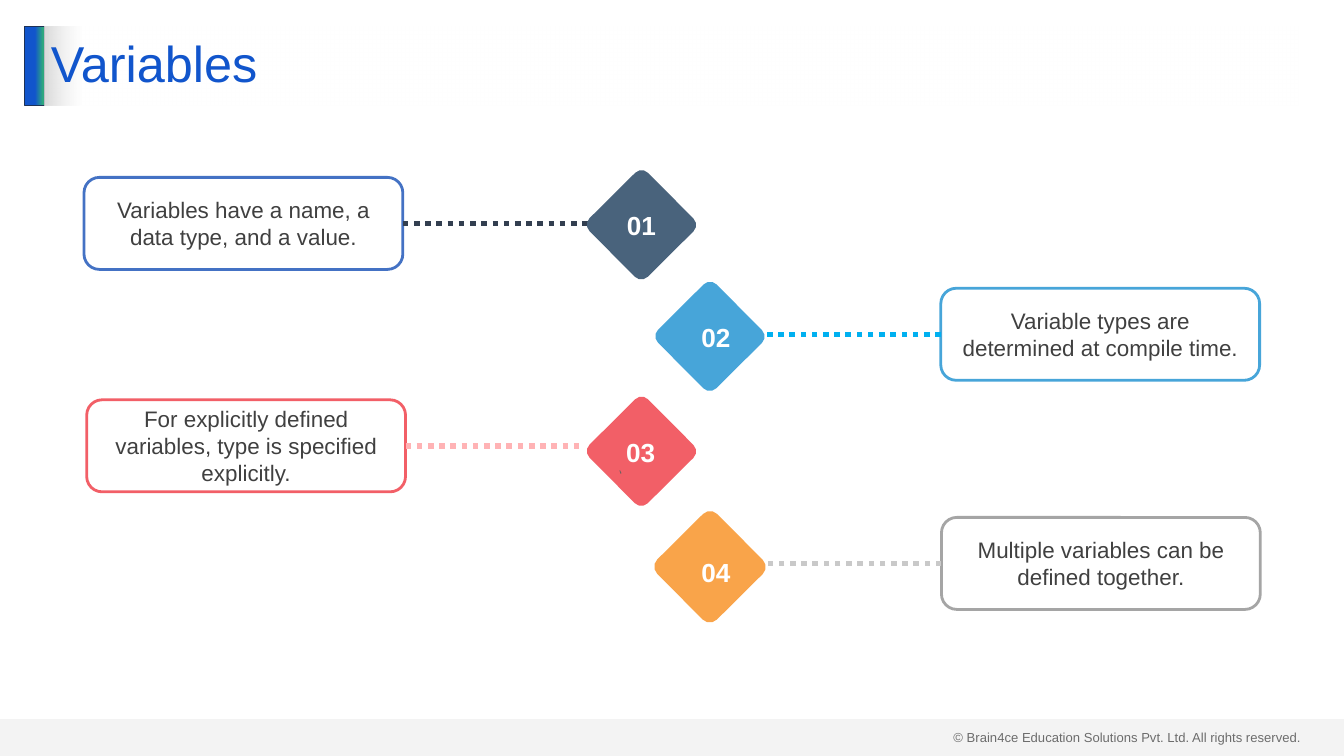
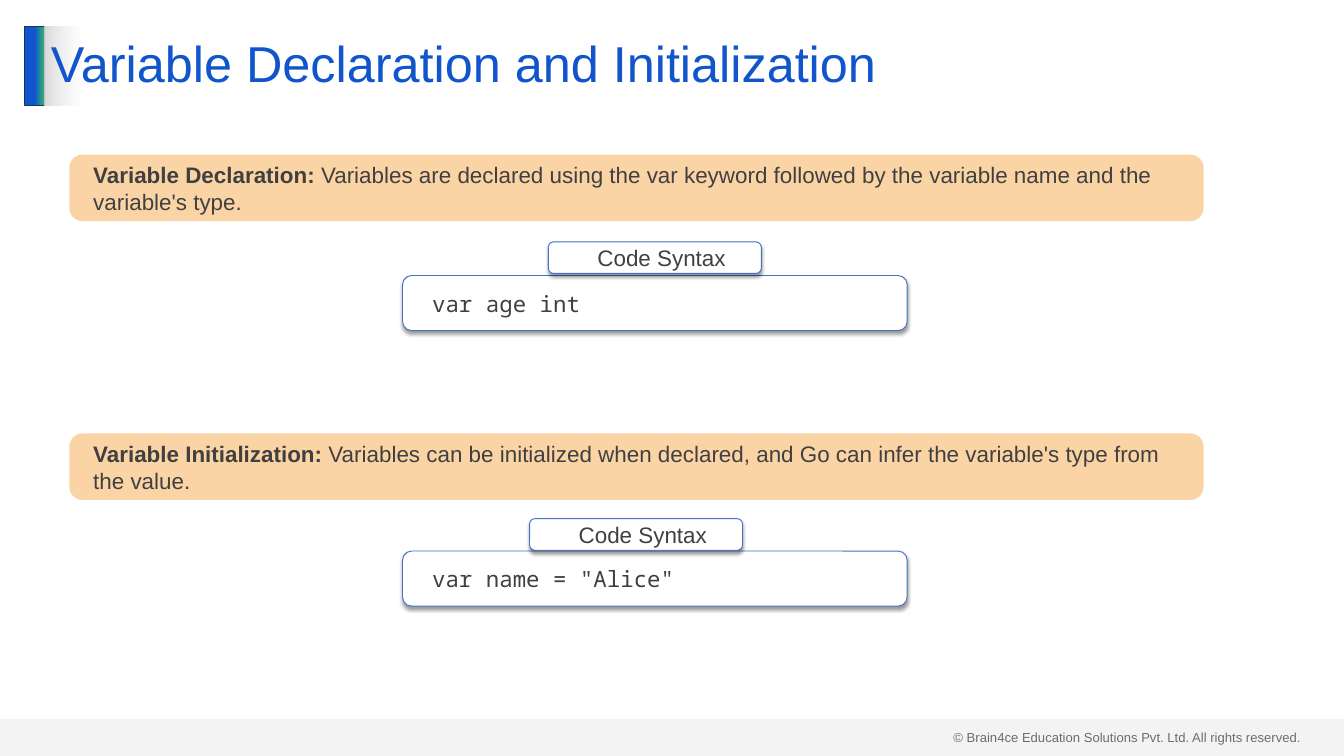
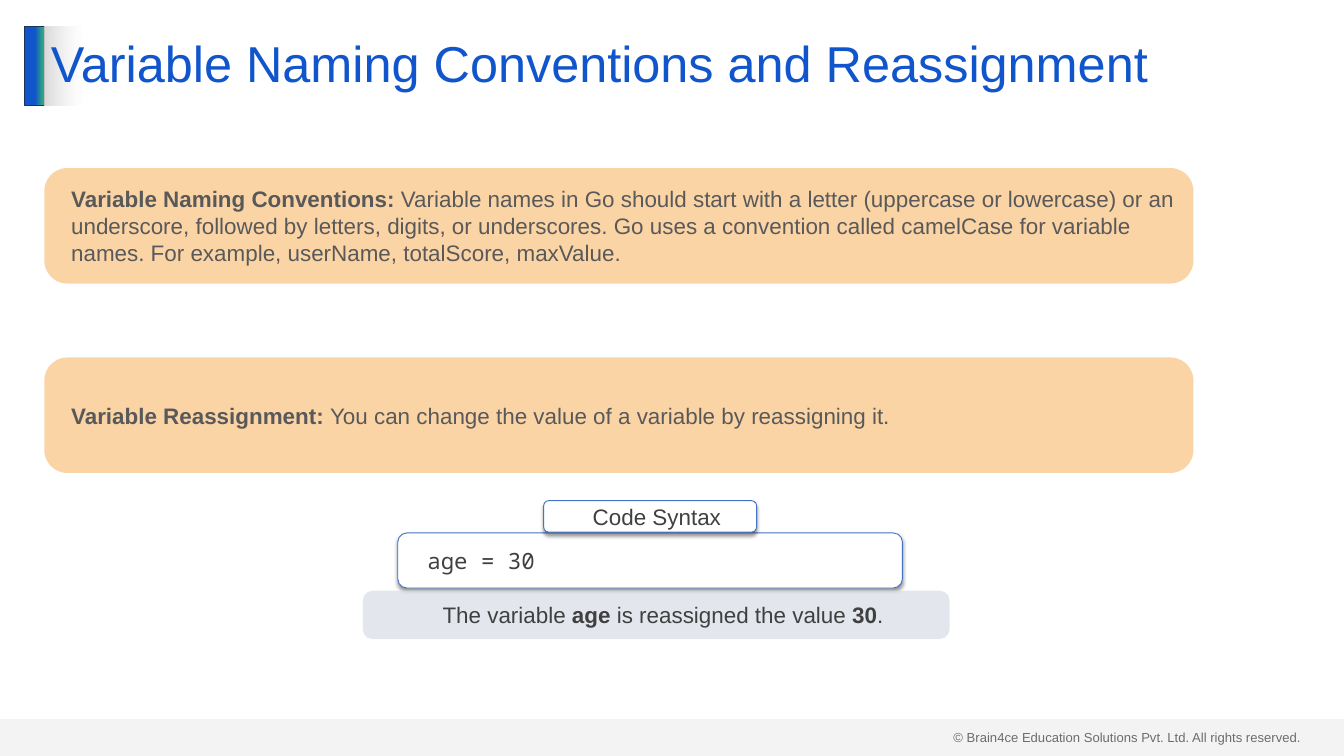
import dataclasses
import typing

import lxml.etree
import pptx
import pptx.dml.color
import pptx.enum.dml
import pptx.enum.shapes
import pptx.enum.text
import pptx.oxml.ns
import pptx.util

Pt = pptx.util.Pt
qn = pptx.oxml.ns.qn
Align = pptx.enum.text.PP_ALIGN
Anchor = pptx.enum.text.MSO_ANCHOR
Preset = pptx.enum.shapes.MSO_SHAPE


@dataclasses.dataclass(frozen=True)
class Theme:
    sans: str = "Arial"
    mono: str = "Noto Sans Mono"
    mark_font: str = "Cabin"
    title_size: float = 54
    number_size: float = 28
    body_size: float = 24
    mark_size: float = 18
    footer_size: float = 14
    title: str = "1155CC"
    accent: str = "2EA87D"
    accent_edge: str = "1E3256"
    grey: str = "D9D9D9"
    white: str = "FFFFFF"
    black: str = "000000"
    text: str = "404040"
    soft_text: str = "595959"
    mark: str = "5F5F5F"
    outline: str = "4472C4"
    note: str = "FABE79"
    remark: str = "D6DCE5"


THEME = Theme()


class Frame(typing.NamedTuple):
    left: float
    top: float
    width: float
    height: float


class Span(typing.NamedTuple):
    text: str
    bold: bool = False


class Stop(typing.NamedTuple):
    percent: int
    color: str
    opacity: int = 100


@dataclasses.dataclass(frozen=True)
class TextStyle:
    size: float = THEME.body_size
    color: str = THEME.text
    font: str = THEME.sans
    align: Align = Align.LEFT
    anchor: Anchor = Anchor.MIDDLE
    indent: float = 0
    inset_x: float = 7.2
    inset_y: float = 3.6
    line_spacing: typing.Optional[float] = None


@dataclasses.dataclass(frozen=True)
class ShapeStyle:
    fill: typing.Optional[str] = None
    opacity: int = 100
    line: typing.Optional[str] = None
    line_width: float = 1
    corner: typing.Optional[float] = None
    shadow: bool = False


@dataclasses.dataclass(frozen=True)
class Step:
    number: str
    text: str
    card: Frame
    diamond: tuple[float, float]
    label: tuple[float, float]
    dots_end: float
    fill: str
    outline: str
    dots: str
    edge: typing.Optional[str] = None
    mark: str = ""


@dataclasses.dataclass(frozen=True)
class Note:
    frame: Frame
    spans: tuple[Span, ...]
    color: str


@dataclasses.dataclass(frozen=True)
class CodeSample:
    code: str
    left: float
    top: float
    tab_left: float
    tab_top: float


CARD_SIZE = (341.6, 98.6)
DIAMOND_SIDE = 88.5
LABEL_SIZE = (56.9, 41)
CODE_SIZE = (540.7, 59)
TAB_SIZE = (228.2, 33.8)
COPYRIGHT = "© Brain4ce Education Solutions Pvt. Ltd. All rights reserved."

CENTRED = TextStyle(align=Align.CENTER)
PANEL = ShapeStyle(fill=THEME.white, line=THEME.outline, shadow=True)

STEPS = (
    Step("01", "Variables have a name, a data type, and a value.",
         Frame(90, 190.1, *CARD_SIZE), (643, 196.6), (664.6, 220.3), 633,
         "49637C", THEME.outline, "333F50"),
    Step("02", "Variable types are determined at compile time.",
         Frame(1008, 308.9, *CARD_SIZE), (716.4, 316.1), (744.5, 340.6), 814.3,
         "47A5D9", "47A5D9", "00B0F0"),
    Step("03", "For explicitly defined variables, type is specified explicitly.",
         Frame(92.9, 428.4, *CARD_SIZE), (643, 439.2), (663.8, 464.4), 625,
         "F25F67", "F25F67", "FFB3B5", mark="`"),
    Step("04", "Multiple variables can be defined together.",
         Frame(1008.7, 554.4, *CARD_SIZE), (716.4, 563), (744.5, 592.6), 814.3,
         "F9A44A", "A5A5A5", "C9C9C9", edge="F9A44A"),
)

DECLARATION_NOTES = (
    Note(Frame(74.2, 165.6, 1215.4, 71.3),
         (Span("Variable Declaration: ", True),
          Span("Variables are declared using the var keyword followed by the "
               "variable name and the variable's type.")), THEME.text),
    Note(Frame(74.2, 464.4, 1215.4, 71.3),
         (Span("Variable Initialization: ", True),
          Span("Variables can be initialized when declared, and Go can infer "
               "the variable's type from the value.")), THEME.text),
)
DECLARATION_CODE = (
    CodeSample("var age int", 431.3, 295.2, 587.5, 259.2),
    CodeSample('var name = "Alice"', 431.3, 590.4, 567.4, 555.8),
)

NAMING_NOTES = (
    Note(Frame(47.5, 180, 1231.2, 123.8),
         (Span("Variable Naming Conventions: ", True),
          Span("Variable names in Go should start with a letter (uppercase or "
               "lowercase) or an underscore, followed by letters, digits, or "
               "underscores. Go uses a convention called camelCase for variable "
               "names. For example, userName, totalScore, maxValue.")),
         THEME.soft_text),
    Note(Frame(47.5, 383, 1231.2, 123.8),
         (Span("Variable Reassignment: ", True),
          Span("You can change the value of a variable by reassigning it.")),
         THEME.soft_text),
)
NAMING_CODE = CodeSample("age = 30", 426.2, 571, 582.5, 536.4)
REMARK_SPANS = (
    Span("The variable "), Span("age", True),
    Span(" is reassigned the value "), Span("30", True), Span("."),
)


def rgb(color: str) -> pptx.dml.color.RGBColor:
    return pptx.dml.color.RGBColor.from_string(color)


def points(frame: Frame) -> list[pptx.util.Length]:
    return [Pt(value) for value in frame]


def add_color(parent, color: str, opacity: int) -> None:
    node = lxml.etree.SubElement(parent, qn("a:srgbClr"), val=color)
    if opacity < 100:
        lxml.etree.SubElement(node, qn("a:alpha"), val=str(opacity * 1000))


def write(shape, spans: typing.Sequence[Span], style: TextStyle) -> None:
    frame = shape.text_frame
    frame.word_wrap = True
    frame.vertical_anchor = style.anchor
    frame.margin_left = frame.margin_right = Pt(style.inset_x)
    frame.margin_top = frame.margin_bottom = Pt(style.inset_y)
    para = frame.paragraphs[0]
    para.alignment = style.align
    if style.line_spacing:
        para.line_spacing = style.line_spacing
    if style.indent:
        properties = para._p.get_or_add_pPr()
        properties.set("marL", str(Pt(style.indent)))
        properties.set("indent", "0")
    para.font.name = style.font
    para.font.size = Pt(style.size)
    para.font.color.rgb = rgb(style.color)
    same_weight = len({span.bold for span in spans}) == 1
    if same_weight:
        para.font.bold = spans[0].bold
    for span in spans:
        run = para.add_run()
        run.text = span.text
        if not same_weight:
            run.font.bold = span.bold


def draw_shape(page, preset: Preset, frame: Frame, style: ShapeStyle):
    shape = page.shapes.add_shape(preset, *points(frame))
    shape.shadow.inherit = False
    properties = shape.element.spPr
    if style.fill:
        shape.fill.solid()
        shape.fill.fore_color.rgb = rgb(style.fill)
        if style.opacity < 100:
            color = properties.find(qn("a:solidFill")).find(qn("a:srgbClr"))
            lxml.etree.SubElement(color, qn("a:alpha"), val=str(style.opacity * 1000))
    if style.line:
        shape.line.color.rgb = rgb(style.line)
        shape.line.width = Pt(style.line_width)
    else:
        shape.line.fill.background()
    if style.corner is not None:
        shape.adjustments[0] = style.corner
    if style.shadow:
        shadow = lxml.etree.SubElement(
            properties.find(qn("a:effectLst")), qn("a:outerShdw"),
            blurRad=str(Pt(4)), dist=str(Pt(3)), dir="5400000",
            algn="t", rotWithShape="0")
        add_color(shadow, THEME.black, 40)
    return shape


def set_gradient(shape, stops: typing.Sequence[Stop]) -> None:
    gradient = lxml.etree.Element(qn("a:gradFill"), rotWithShape="1")
    stop_list = lxml.etree.SubElement(gradient, qn("a:gsLst"))
    for stop in stops:
        node = lxml.etree.SubElement(stop_list, qn("a:gs"), pos=str(stop.percent * 1000))
        add_color(node, stop.color, stop.opacity)
    lxml.etree.SubElement(gradient, qn("a:lin"), ang="0", scaled="0")
    shape.element.spPr.find(qn("a:prstGeom")).addnext(gradient)


def draw_text(page, frame: Frame, text: str, style: TextStyle, bold: bool = False) -> None:
    box = page.shapes.add_textbox(*points(frame))
    write(box, [Span(text, bold)], style)


def add_page(deck, title: str):
    page = deck.slides.add_slide(deck.slide_layouts[6])
    draw_text(page, Frame(1014.5, 777.6, 389.5, 24.5), COPYRIGHT,
              TextStyle(size=THEME.footer_size, anchor=Anchor.TOP))
    bar = draw_shape(page, Preset.RECTANGLE, Frame(26.6, 28, 21.6, 85),
                     ShapeStyle(line=THEME.accent_edge))
    set_gradient(bar, [Stop(51, THEME.title), Stop(90, THEME.accent),
                       Stop(100, THEME.accent)])
    draw_shape(page, Preset.RECTANGLE, Frame(0, 770.4, 1440, 39.6),
               ShapeStyle(fill=THEME.grey, opacity=29))
    heading = draw_shape(page, Preset.RECTANGLE, Frame(47.5, 28, 1344.2, 85),
                         ShapeStyle())
    set_gradient(heading, [Stop(0, THEME.grey), Stop(3, THEME.white, 50),
                           Stop(100, THEME.white, 50)])
    write(heading, [Span(title)],
          TextStyle(size=THEME.title_size, color=THEME.title, line_spacing=0.9))
    return page


def draw_step(page, step: Step) -> None:
    card = draw_shape(page, Preset.ROUNDED_RECTANGLE, step.card,
                      ShapeStyle(fill=THEME.white, line=step.outline, line_width=3))
    write(card, [Span(step.text)], CENTRED)

    on_left = step.card.left < step.dots_end
    middle = Pt(step.card.top + step.card.height / 2)
    dots = page.shapes.add_connector(
        pptx.enum.shapes.MSO_CONNECTOR.STRAIGHT,
        card.left, middle, Pt(step.dots_end), middle)
    dots.begin_connect(card, 3 if on_left else 1)
    dots.line.color.rgb = rgb(step.dots)
    dots.line.width = Pt(6)
    dots.line.dash_style = pptx.enum.dml.MSO_LINE.ROUND_DOT
    lxml.etree.SubElement(dots.element.spPr, qn("a:effectLst"))

    diamond = draw_shape(page, Preset.ROUNDED_RECTANGLE,
                         Frame(*step.diamond, DIAMOND_SIDE, DIAMOND_SIDE),
                         ShapeStyle(fill=step.fill, line=step.edge,
                                    line_width=2.25, corner=0.11))
    diamond.rotation = 225.2
    if step.mark:
        write(diamond, [Span(step.mark)],
              TextStyle(size=THEME.mark_size, color=THEME.mark, font=THEME.mark_font,
                        align=Align.CENTER, anchor=Anchor.TOP))
    draw_text(page, Frame(*step.label, *LABEL_SIZE), step.number,
              TextStyle(size=THEME.number_size, color=THEME.white, anchor=Anchor.TOP),
              bold=True)


def draw_tinted(page, frame: Frame, fill: str, spans: typing.Sequence[Span],
                style: TextStyle) -> None:
    box = draw_shape(page, Preset.ROUNDED_RECTANGLE, frame,
                     ShapeStyle(fill=fill, opacity=66, corner=0.2))
    write(box, spans, style)


def draw_note(page, note: Note) -> None:
    draw_tinted(page, note.frame, THEME.note, note.spans,
                TextStyle(color=note.color, indent=14.4))


def draw_code(page, sample: CodeSample) -> None:
    parts = (
        (Frame(sample.left, sample.top, *CODE_SIZE), sample.code, THEME.mono, Align.LEFT),
        (Frame(sample.tab_left, sample.tab_top, *TAB_SIZE), "Code Syntax",
         THEME.sans, Align.CENTER),
    )
    for frame, text, font, align in parts:
        panel = draw_shape(page, Preset.ROUNDED_RECTANGLE, frame, PANEL)
        write(panel, [Span(text)],
              TextStyle(font=font, align=align, indent=14.4, inset_x=14.4, inset_y=7.2))


def main() -> None:
    deck = pptx.Presentation()
    deck.slide_width, deck.slide_height = Pt(1440), Pt(810)

    page = add_page(deck, "Variables")
    for step in STEPS:
        draw_step(page, step)

    page = add_page(deck, "Variable Declaration and Initialization")
    for note, sample in zip(DECLARATION_NOTES, DECLARATION_CODE):
        draw_note(page, note)
        draw_code(page, sample)

    page = add_page(deck, "Variable Naming Conventions and Reassignment")
    for note in NAMING_NOTES:
        draw_note(page, note)
    draw_code(page, NAMING_CODE)
    draw_tinted(page, Frame(388.8, 632.9, 628.6, 51.8), THEME.remark, REMARK_SPANS,
                TextStyle(align=Align.CENTER, indent=14.4))

    deck.save("out.pptx")


if __name__ == "__main__":
    main()
